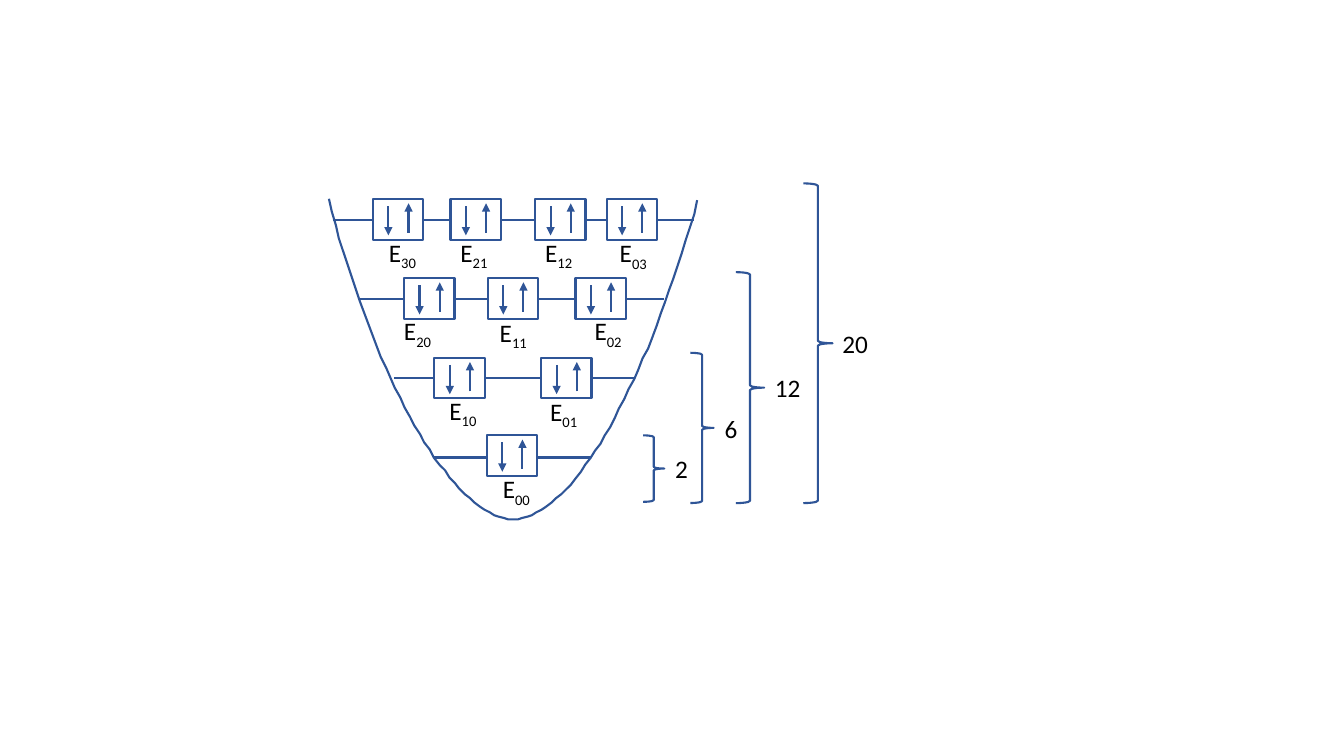
from pptx import Presentation
from pptx.dml.color import RGBColor
from pptx.enum.shapes import MSO_CONNECTOR, MSO_SHAPE
from pptx.enum.text import MSO_AUTO_SIZE
from pptx.oxml.ns import qn
from pptx.util import Pt
from lxml.etree import SubElement

HUES = {"blue": "2F5597", "white": "FFFFFF", "black": "000000"}
HUES = {name: RGBColor.from_string(code) for name, code in HUES.items()}

deck = Presentation()
deck.slide_width, deck.slide_height = Pt(960), Pt(540)
shapes = deck.slides.add_slide(deck.slide_layouts[6]).shapes


def add_line(x1, y1, x2, y2, arrow=False):
    line = shapes.add_connector(MSO_CONNECTOR.STRAIGHT, Pt(x1), Pt(y1), Pt(x2), Pt(y2))
    line.line.color.rgb, line.line.width = HUES["blue"], Pt(1.5)
    props = line._element.spPr
    if arrow:
        SubElement(props.find(qn("a:ln")), qn("a:tailEnd"), type="triangle")
    SubElement(props, qn("a:effectLst"))


def add_label(x, y, wide, text, sub=""):
    box = shapes.add_textbox(Pt(x), Pt(y), Pt(wide), Pt(29))
    frame = box.text_frame
    frame.word_wrap, frame.auto_size = False, MSO_AUTO_SIZE.SHAPE_TO_FIT_TEXT
    para = frame.paragraphs[0]
    para.text = text
    if sub:
        para.add_run().text = sub
        para.runs[1].font._element.set("baseline", "-25000")
    for run in para.runs:
        run.font.name, run.font.size = "Calibri", Pt(18)
        run.font.color.rgb = HUES["black"]


# Potential well: two cubic curves, sampled
halves = [
    [(234.7, 141.8), (267.1, 269.3), (322.6, 370.1), (366.5, 370.8)],
    [(366.5, 370.8), (410.4, 370.8), (463, 270.7), (498.2, 143.3)],
]
STEPS = 40
curve = []
for ends in halves:
    for step in range(STEPS + 1):
        t = step / STEPS
        parts = ((1 - t) ** 3, 3 * t * (1 - t) ** 2, 3 * t * t * (1 - t), t ** 3)
        curve.append([sum(part * end[axis] for part, end in zip(parts, ends))
                      for axis in (0, 1)])
build = shapes.build_freeform(*curve[0], scale=Pt(1))
build.add_line_segments(curve[1:], close=False)
well = build.convert_to_shape()
well.shadow.inherit = False
well.fill.background()
well.line.color.rgb, well.line.width = HUES["blue"], Pt(1.5)

# Levels: line ends, box top, then states (name, box left, label left, label top)
levels = [
    (237.6, 495.4, 142.2, [("30", 266.4, 270.7, 165.6), ("21", 321.8, 321.8, 165.6),
                           ("12", 382.3, 382.3, 165.6), ("03", 433.4, 435.6, 166.3)]),
    (255.6, 474.5, 198.7, [("20", 288.7, 281.5, 221.8), ("11", 348.5, 349.9, 223.2),
                           ("02", 411.1, 417.6, 221.8)]),
    (281.5, 453.6, 255.6, [("10", 310.3, 313.9, 278.6), ("01", 386.6, 385.9, 279.4)]),
    (310.3, 421.9, 311, [("00", 347.8, 352.1, 334.8)]),
]
for row, (left, right, top, states) in enumerate(levels):
    y = 157 + 56.6 * row
    add_line(left, y, right, y)
    for name, x, label_x, label_y in states:
        box = shapes.add_shape(MSO_SHAPE.RECTANGLE, Pt(x), Pt(top), Pt(36), Pt(29))
        box.shadow.inherit = False
        box.fill.solid()
        box.fill.fore_color.rgb = HUES["white"]
        box.line.color.rgb, box.line.width = HUES["blue"], Pt(1.5)
        # Spin down, spin up
        add_line(x + 11, top + 5, x + 11, top + 26, arrow=True)
        add_line(x + 25.4, top + 24, x + 25.4, top + 3, arrow=True)
        add_label(label_x, label_y, 36, "E", name)

# Braces with state counts: left, top, width, height, label left, top, width
braces = [
    ("2", 459.4, 311, 15.1, 47.5, 475.2, 320.4, 23.8),
    ("6", 493.2, 252, 16.6, 107.3, 510.5, 291.6, 23.8),
    ("12", 525.6, 194.4, 20.2, 165, 546.5, 262.1, 33.1),
    ("20", 573.8, 131, 20.9, 228.4, 594.7, 231.1, 33.1),
]
for count, x, y, wide, high, label_x, label_y, label_w in braces:
    brace = shapes.add_shape(MSO_SHAPE.RIGHT_BRACE, Pt(x), Pt(y), Pt(wide), Pt(high))
    brace.shadow.inherit = False
    brace.fill.background()
    brace.line.color.rgb, brace.line.width = HUES["blue"], Pt(1.5)
    add_label(label_x, label_y, label_w, count)

deck.save("out.pptx")
